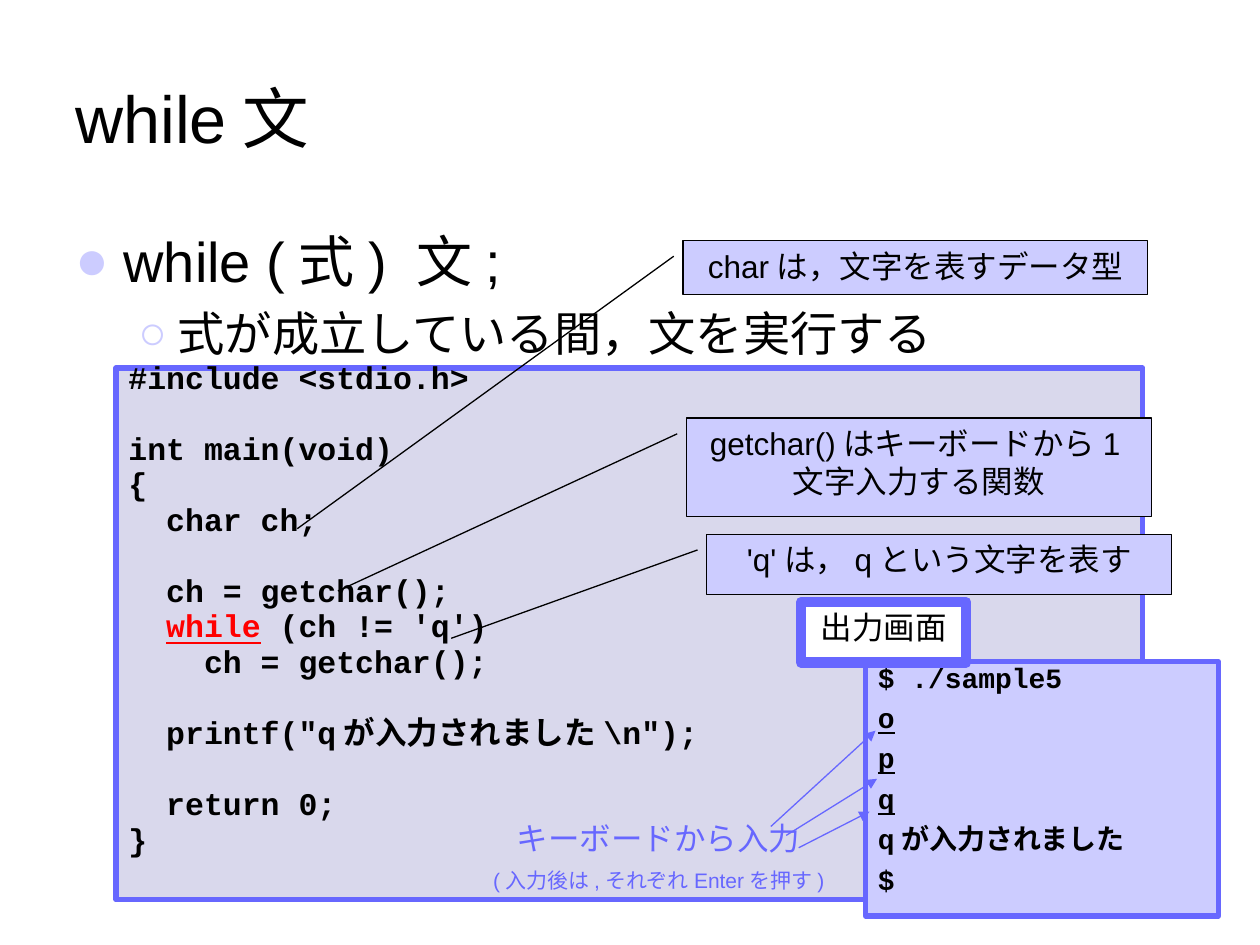
from lxml import etree
from pptx import Presentation
from pptx.dml.color import RGBColor
from pptx.enum.shapes import MSO_CONNECTOR, MSO_SHAPE
from pptx.enum.text import MSO_ANCHOR, PP_ALIGN
from pptx.oxml.ns import qn
from pptx.util import Cm, Pt

RECTANGLE = MSO_SHAPE.RECTANGLE
CALLOUT = MSO_SHAPE.LINE_CALLOUT_1
STRAIGHT = MSO_CONNECTOR.STRAIGHT
TOP = MSO_ANCHOR.TOP
MIDDLE = MSO_ANCHOR.MIDDLE
LEFT = PP_ALIGN.LEFT
CENTER = PP_ALIGN.CENTER

BLACK = RGBColor(0x00, 0x00, 0x00)
WHITE = RGBColor(0xFF, 0xFF, 0xFF)
RED = RGBColor(0xFF, 0x00, 0x00)
BLUE = RGBColor(0x67, 0x67, 0xFF)
LAVENDER = RGBColor(0xCC, 0xCC, 0xFF)
GRAY_LAVENDER = RGBColor(0xD9, 0xD8, 0xEC)

ARIAL = {"name": "Arial", "size": Pt(18)}
CODE = {"name": "Courier New", "size": Pt(18), "bold": True}
CONSOLE = {**CODE, "size": Pt(16)}
UNDERLINE = {"underline": True}

PROGRAM = [
    "#include <stdio.h>",
    "",
    "int main(void)",
    "{",
    "  char ch;",
    "",
    "  ch = getchar();",
    "  while (ch != 'q')",
    "    ch = getchar();",
    "",
    "  printf(\"qが入力されました\\n\");",
    "",
    "  return 0;",
    "}",
]
TYPED_KEYS = ["o", "p", "q"]
CONSOLE_LINES = ["$ ./sample5", *TYPED_KEYS, "qが入力されました", "$"]
CALLOUTS = [
    ((13.77, 4.85, 9.37, 1.09), "charは，文字を表すデータ型", (0.29, -0.02, 5.33, -0.83)),
    ((13.84, 8.43, 9.37, 1.98), "getchar()はキーボードから1文字入力する関数", (0.16, -0.02, 1.76, -0.75)),
    ((14.25, 10.77, 9.37, 1.22), "'q'は，qという文字を表す", (0.26, -0.02, 1.72, -0.55)),
]
ARROWS = [
    (6.07, 0.28, 8.18, -1.65),
    (6.38, 0.46, 8.21, -0.68),
    (6.63, 0.71, 8.06, -0.02),
]


def set_attributes(target, values):
    for name, value in values.items():
        setattr(target, name, value)


def add_run(paragraph, text, font, color=BLACK):
    run = paragraph.add_run()
    run.text = text
    set_attributes(run.font, font)
    run.font.color.rgb = color


def add_paragraph(text_frame, index, spacing, **values):
    paragraph = text_frame.paragraphs[0] if index == 0 else text_frame.add_paragraph()
    set_attributes(paragraph, {"alignment": LEFT, **values})
    if index:
        paragraph.space_before = Pt(spacing)
    return paragraph


def add_text_box(slide, box, anchor=TOP):
    shape = slide.shapes.add_textbox(*map(Cm, box))
    set_attributes(shape.text_frame, {"word_wrap": True, "vertical_anchor": anchor})
    return shape.text_frame


def add_panel(slide, box, kind, fill, line, width):
    shape = slide.shapes.add_shape(kind, *map(Cm, box))
    shape.shadow.inherit = False
    shape.fill.solid()
    shape.fill.fore_color.rgb = fill
    shape.line.color.rgb = line
    shape.line.width = Pt(width)
    set_attributes(shape.text_frame, {"word_wrap": True, "vertical_anchor": TOP})
    return shape


def add_bullet(paragraph, character, margin, hanging):
    properties = paragraph._p.get_or_add_pPr()
    properties.set("marL", str(Cm(margin)))
    properties.set("indent", str(-Cm(hanging)))
    color = etree.SubElement(properties, qn("a:buClr"))
    etree.SubElement(color, qn("a:srgbClr"), val=str(LAVENDER))
    etree.SubElement(properties, qn("a:buFont"), typeface="Arial")
    etree.SubElement(properties, qn("a:buChar"), char=character)


def add_title(slide, box):
    text_frame = add_text_box(slide, box, MIDDLE)
    add_run(add_paragraph(text_frame, 0, 0), "while文", {**ARIAL, "size": Pt(38)})


def add_body(slide, box):
    text_frame = add_text_box(slide, box)
    items = [
        ("while (式) 文;", 32, "●", 0.97, 0.97),
        ("式が成立している間，文を実行する", 27, "○", 2.06, 0.79),
    ]
    for level, (text, size, character, margin, hanging) in enumerate(items):
        paragraph = add_paragraph(text_frame, level, 6, level=level)
        add_bullet(paragraph, character, margin, hanging)
        add_run(paragraph, text, {**ARIAL, "size": Pt(size)})


def add_program(slide, box):
    text_frame = add_panel(slide, box, RECTANGLE, GRAY_LAVENDER, BLUE, 3).text_frame
    for index, line in enumerate(PROGRAM):
        paragraph = add_paragraph(text_frame, index, 9.5, line_spacing=0.5)
        before, keyword, after = line.partition("while")
        add_run(paragraph, before, CODE)
        if keyword:
            add_run(paragraph, keyword, {**CODE, **UNDERLINE}, RED)
            add_run(paragraph, after, CODE)


def add_callout(slide, box, text, pointer):
    shape = add_panel(slide, box, CALLOUT, LAVENDER, BLACK, 0.75)
    for index, value in enumerate(pointer):
        shape.adjustments[index] = value
    add_run(add_paragraph(shape.text_frame, 0, 0, alignment=CENTER), text, ARIAL)


def add_console(slide, box):
    left, top, width, height = box
    text_frame = add_panel(slide, box, RECTANGLE, LAVENDER, BLUE, 3).text_frame
    for index, line in enumerate(CONSOLE_LINES):
        paragraph = add_paragraph(text_frame, index, 8.7, line_spacing=0.75)
        add_run(paragraph, line, {**CONSOLE, "underline": line in TYPED_KEYS})
    label_box = (left - 1.3, top - 1.2, 3.33, 1.22)
    label = add_panel(slide, label_box, RECTANGLE, WHITE, BLUE, 6)
    add_run(add_paragraph(label.text_frame, 0, 0, alignment=CENTER), "出力画面", ARIAL)


def add_arrow(slide, start_x, start_y, end_x, end_y):
    arrow = slide.shapes.add_connector(STRAIGHT, *map(Cm, (start_x, start_y, end_x, end_y)))
    arrow.line.color.rgb = BLUE
    arrow.line.width = Pt(0.75)
    properties = arrow._element.spPr
    etree.SubElement(properties.find(qn("a:ln")), qn("a:tailEnd"), type="triangle")
    etree.SubElement(properties, qn("a:effectLst"))


def add_keyboard_note(slide, box):
    left, top, width, height = box
    text_frame = add_text_box(slide, box)
    lines = [("キーボードから入力", 18), ("(入力後は,それぞれEnterを押す)", 12)]
    for index, (text, size) in enumerate(lines):
        paragraph = add_paragraph(text_frame, index, 6, alignment=CENTER)
        add_run(paragraph, text, {**ARIAL, "size": Pt(size)}, BLUE)
    for start_x, start_y, end_x, end_y in ARROWS:
        add_arrow(slide, left + start_x, top + start_y, left + end_x, top + end_y)


def main():
    presentation = Presentation()
    set_attributes(presentation, {"slide_width": Cm(25.4), "slide_height": Cm(19.05)})
    slide = presentation.slides.add_slide(presentation.slide_layouts[6])
    add_title(slide, (1.27, 0.76, 22.86, 3.18))
    add_body(slide, (1.27, 4.45, 22.86, 12.57))
    add_program(slide, (2.34, 7.42, 20.7, 10.72))
    for box, text, pointer in CALLOUTS:
        add_callout(slide, box, text, pointer)
    add_console(slide, (17.45, 13.34, 7.11, 5.13))
    add_keyboard_note(slide, (9.47, 16.38, 7.62, 1.78))
    presentation.save("out.pptx")


if __name__ == "__main__":
    main()
